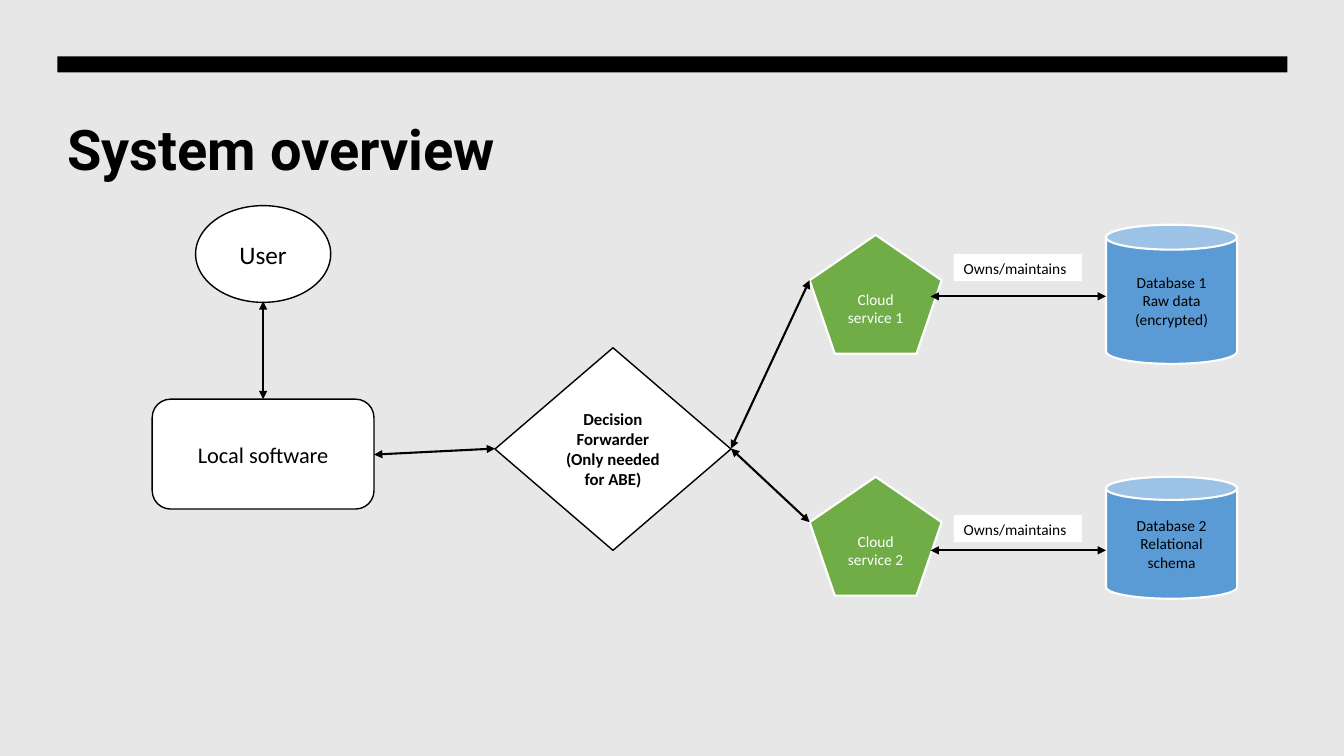
from pptx import Presentation
from pptx.dml.color import RGBColor
from pptx.enum.shapes import MSO_CONNECTOR, MSO_SHAPE
from pptx.enum.text import MSO_ANCHOR, PP_ALIGN
from pptx.oxml.ns import qn
from pptx.util import Inches, Pt
from lxml import etree

RECT, ROUND = MSO_SHAPE.RECTANGLE, MSO_SHAPE.ROUNDED_RECTANGLE
OVAL, DIAMOND = MSO_SHAPE.OVAL, MSO_SHAPE.DIAMOND
PENTAGON, CAN = MSO_SHAPE.REGULAR_PENTAGON, MSO_SHAPE.CAN
STRAIGHT = MSO_CONNECTOR.STRAIGHT
LEFT, CENTER = PP_ALIGN.LEFT, PP_ALIGN.CENTER
TOP, MIDDLE = MSO_ANCHOR.TOP, MSO_ANCHOR.MIDDLE

COLORS = {"back": "F2F1F1", "veil": "DBD8D8", "ink": "000000",
          "paper": "FFFFFF", "service": "70AD47", "database": "5B9BD5"}
WIDTH, HEIGHT = 13.33, 7.5
COLS, ROWS = 133.3, 75  # fine grid of square cells


class Diagram:
    """Style and current slide; places are (column, row, columns, rows)."""

    def __init__(self, prs):
        self.slide = prs.slides.add_slide(prs.slide_layouts[6])
        self.col = Inches(WIDTH) / COLS
        self.row = Inches(HEIGHT) / ROWS
        fill = self.slide.background.fill
        fill.solid()
        fill.fore_color.rgb = self.color("back")

    def color(self, name):
        return RGBColor.from_string(COLORS[name])

    def grid(self, *cells):
        return [round(n * (self.row if i % 2 else self.col))
                for i, n in enumerate(cells)]

    def text(self, sp, lines, size, color="ink", font="Calibri", bold=False,
             align=CENTER, anchor=MIDDLE):
        tf = sp.text_frame
        tf.word_wrap, tf.vertical_anchor = True, anchor
        for i, line in enumerate(lines):
            p = tf.add_paragraph() if i else tf.paragraphs[0]
            p.alignment = align
            r = p.add_run()
            r.text = line
            for key, value in {"name": font, "size": Pt(size), "bold": bold}.items():
                setattr(r.font, key, value)
            r.font.color.rgb = self.color(color)

    def title(self, at, line):
        sp = self.slide.shapes.add_textbox(*self.grid(*at))
        self.text(sp, [line], 40, font="Roboto", bold=True, align=LEFT)

    def box(self, kind, at, fill, line=None, width=1, adj=None):
        sp = self.slide.shapes.add_shape(kind, *self.grid(*at))
        sp.shadow.inherit = False
        sp.fill.solid()
        sp.fill.fore_color.rgb = self.color(fill)
        if line:
            sp.line.color.rgb = self.color(line)
            sp.line.width = Pt(width)
        else:
            sp.line.fill.background()
        if adj is not None:
            sp.adjustments[0] = adj
        return sp

    def veil(self, at, fill, percent):
        sp = self.box(RECT, at, fill)
        clr = sp.fill._xPr.find(".//" + qn("a:srgbClr"))
        etree.SubElement(clr, qn("a:alpha"), val=str(percent * 1000))

    def label(self, at, line):
        sp = self.box(RECT, at, "paper")
        sp.text_frame.margin_right = 0
        self.text(sp, [line], 11, align=LEFT, anchor=TOP)

    def arrow(self, start, end):
        """Line with a triangle at both ends."""
        sp = self.slide.shapes.add_connector(STRAIGHT, *self.grid(*start, *end))
        sp.line.color.rgb = self.color("ink")
        sp.line.width = Pt(1.5)
        ln = sp.line._get_or_add_ln()
        for tag in ("a:headEnd", "a:tailEnd"):
            etree.SubElement(ln, qn(tag), type="triangle")
        etree.SubElement(ln.getparent(), qn("a:effectLst"))


def main():
    prs = Presentation()
    prs.slide_width, prs.slide_height = Inches(WIDTH), Inches(HEIGHT)
    d = Diagram(prs)

    # Backdrop and heading
    d.veil((0, 0, COLS, ROWS), "veil", 40)
    d.box(RECT, (5.7, 5.6, 122, 1.6), "ink")
    d.title((5.7, 10.7, 122.1, 7.9), "System overview")

    # User, local software and decision
    for kind, at, adj, lines, size, bold in (
            (OVAL, (19.4, 20.4, 13.4, 9.6), None, ["User"], 18, False),
            (ROUND, (15.1, 39.6, 22, 10.9), 0.167, ["Local software"], 16, False),
            (DIAMOND, (49.1, 34.5, 23.4, 20.1), None,
             ["Decision Forwarder", "(Only needed for ABE)"], 12, True)):
        sp = d.box(kind, at, "paper", "ink", adj=adj)
        d.text(sp, lines, size, bold=bold)
    d.arrow((26.1, 29.9), (26.1, 39.6))
    d.arrow((49.1, 44.5), (37.1, 45.1))

    # One branch for each cloud service and its database
    for n, service_top, can_top, can_rows, label_top, link, details in (
            (1, 23.3, 22.3, 13.8, 25.2, 29.4, ["Raw data", "(encrypted)"]),
            (2, 47.3, 47.3, 12.1, 51.1, 54.6, ["Relational", "schema"])):
        sp = d.box(PENTAGON, (80.3, service_top, 13.1, 11.8), "service", "paper", 1.5)
        d.text(sp, [f"Cloud service {n}"], 11, "paper")
        sp = d.box(CAN, (109.7, can_top, 13, can_rows), "database", "paper", 1.5, 0.19)
        d.text(sp, [f"Database {n}"] + details, 11)
        d.label((94.6, label_top, 12.7, 2.7), "Owns/maintains")
        d.arrow((92.3, link), (109.7, link))
        d.arrow((72.5, 44.5), (80.3, service_top + 4.5))

    prs.save("out.pptx")


if __name__ == "__main__":
    main()
